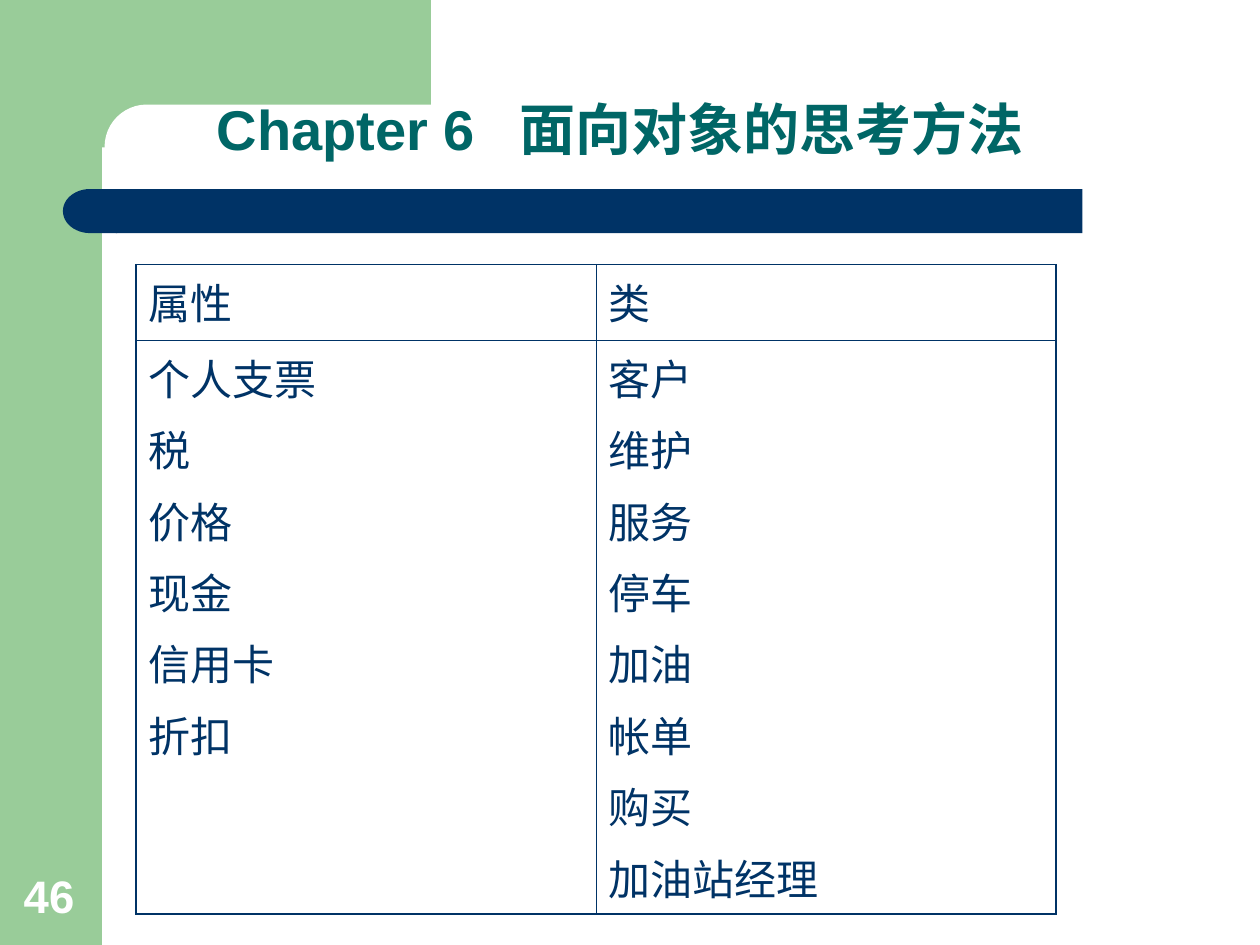
from typing import NamedTuple

from lxml.etree import SubElement
from pptx import Presentation
from pptx.dml.color import RGBColor
from pptx.enum.shapes import MSO_SHAPE as Shape
from pptx.enum.text import MSO_ANCHOR as Anchor, PP_ALIGN as Align
from pptx.oxml import parse_xml
from pptx.oxml.ns import nsdecls, qn
from pptx.util import Inches, Pt

COLORS = {"green": "99CC99", "navy": "003366", "teal": "006666", "white": "FFFFFF"}
FONT = "Arial"
OUTER, INNER = 1.08, 0.45  # table border widths in points


class Panel(NamedTuple):
    kind: Shape
    left: float
    top: float
    width: float
    height: float
    color: str
    rounding: float | None = None
    flipped: bool = False


PANELS = [
    Panel(Shape.RECTANGLE, 0, 0, 0.81, 7.5, "green"),
    Panel(Shape.RECTANGLE, 0.73, 0, 2.69, 1.17, "green"),
    Panel(Shape.ROUNDED_RECTANGLE, 0.83, 0.83, 5.58, 0.67, "white", rounding=0.5),
    Panel(Shape.RECTANGLE, 0.92, 1.5, 7.67, 0.35, "navy"),
    Panel(Shape.FLOWCHART_DELAY, 0.5, 1.5, 0.43, 0.35, "navy", flipped=True),
]

COLUMNS = {
    "属性": ["个人支票", "税", "价格", "现金", "信用卡", "折扣"],
    "类": ["客户", "维护", "服务", "停车", "加油", "帐单", "购买", "加油站经理"],
}


def rgb(name: str) -> RGBColor:
    return RGBColor.from_string(COLORS[name])


def draw_panel(slide, panel: Panel) -> None:
    shape = slide.shapes.add_shape(panel.kind, *map(Inches, panel[1:5]))
    shape.shadow.inherit = False
    shape.fill.solid()
    shape.fill.fore_color.rgb = rgb(panel.color)
    shape.line.fill.background()
    if panel.rounding is not None:
        shape.adjustments[0] = panel.rounding
    if panel.flipped:
        shape.element.spPr.xfrm.set("flipH", "1")


def write(frame, lines: list[str], *, size: float, color: str, bold: bool = False,
          gap: float = 0, line_spacing: float | None = None,
          tab: float | None = None) -> None:
    """Fill a text frame, one paragraph a line, with gap points between them."""
    frame.word_wrap = True
    for index, line in enumerate(lines):
        paragraph = frame.add_paragraph() if index else frame.paragraphs[0]
        paragraph.text = line
        paragraph.alignment = Align.LEFT
        if line_spacing:
            paragraph.line_spacing = line_spacing
        paragraph.space_before = Pt(gap if index else 0)
        if tab is not None:
            tabs = SubElement(paragraph._p.get_or_add_pPr(), qn("a:tabLst"))
            SubElement(tabs, qn("a:tab"), pos=str(Inches(tab)), algn="l")
        font = paragraph.font
        font.name, font.size, font.bold = FONT, Pt(size), bold
        font.color.rgb = rgb(color)


def set_borders(cell, widths: dict[str, float]) -> None:
    """Line the cell's sides, given in the order L, R, T, B."""
    properties = cell._tc.get_or_add_tcPr()
    for index, (side, width) in enumerate(widths.items()):
        properties.insert(index, parse_xml(
            f'<a:ln{side} {nsdecls("a")} w="{Pt(width)}"><a:solidFill>'
            f'<a:srgbClr val="{COLORS["navy"]}"/></a:solidFill></a:ln{side}>'))


def draw_table(slide) -> None:
    frame = slide.shapes.add_table(2, len(COLUMNS), Inches(1.08), Inches(2.1),
                                   Inches(7.3), Inches(5.15))
    table = frame.table
    table.first_row = table.horz_banding = False
    for row, height in zip(table.rows, (0.6, 4.55)):
        row.height = Inches(height)
    last = len(COLUMNS) - 1
    for col, (heading, items) in enumerate(COLUMNS.items()):
        table.columns[col].width = Inches(3.65)
        for row, lines in enumerate(([heading], items)):
            cell = table.cell(row, col)
            cell.fill.background()
            write(cell.text_frame, lines, size=24, color="navy", gap=6)
            set_borders(cell, {
                "L": OUTER if col == 0 else INNER,
                "R": OUTER if col == last else INNER,
                "T": OUTER if row == 0 else INNER,
                "B": OUTER if row == 1 else INNER,
            })


def place_title(slide) -> None:
    title = slide.shapes.title
    title.left, title.top, title.width, title.height = map(
        Inches, (1.62, 0.42, 8.13, 0.92))
    title.text_frame.vertical_anchor = Anchor.BOTTOM
    write(title.text_frame, ["Chapter 6\t面向对象的思考方法"], size=32, color="teal",
          bold=True, line_spacing=0.9, tab=2.4)
    # Bring the title in front of the panels
    title.element.getparent().append(title.element)


def main() -> None:
    deck = Presentation()
    deck.slide_width, deck.slide_height = Inches(10), Inches(7.5)
    slide = deck.slides.add_slide(deck.slide_layouts[5])
    for panel in PANELS:
        draw_panel(slide, panel)
    page_number = slide.shapes.add_textbox(*map(Inches, (0.09, 6.83, 0.64, 0.54)))
    page_number.text_frame.vertical_anchor = Anchor.BOTTOM
    write(page_number.text_frame, ["46"], size=26, color="white", bold=True)
    place_title(slide)
    draw_table(slide)
    deck.save("out.pptx")


if __name__ == "__main__":
    main()
